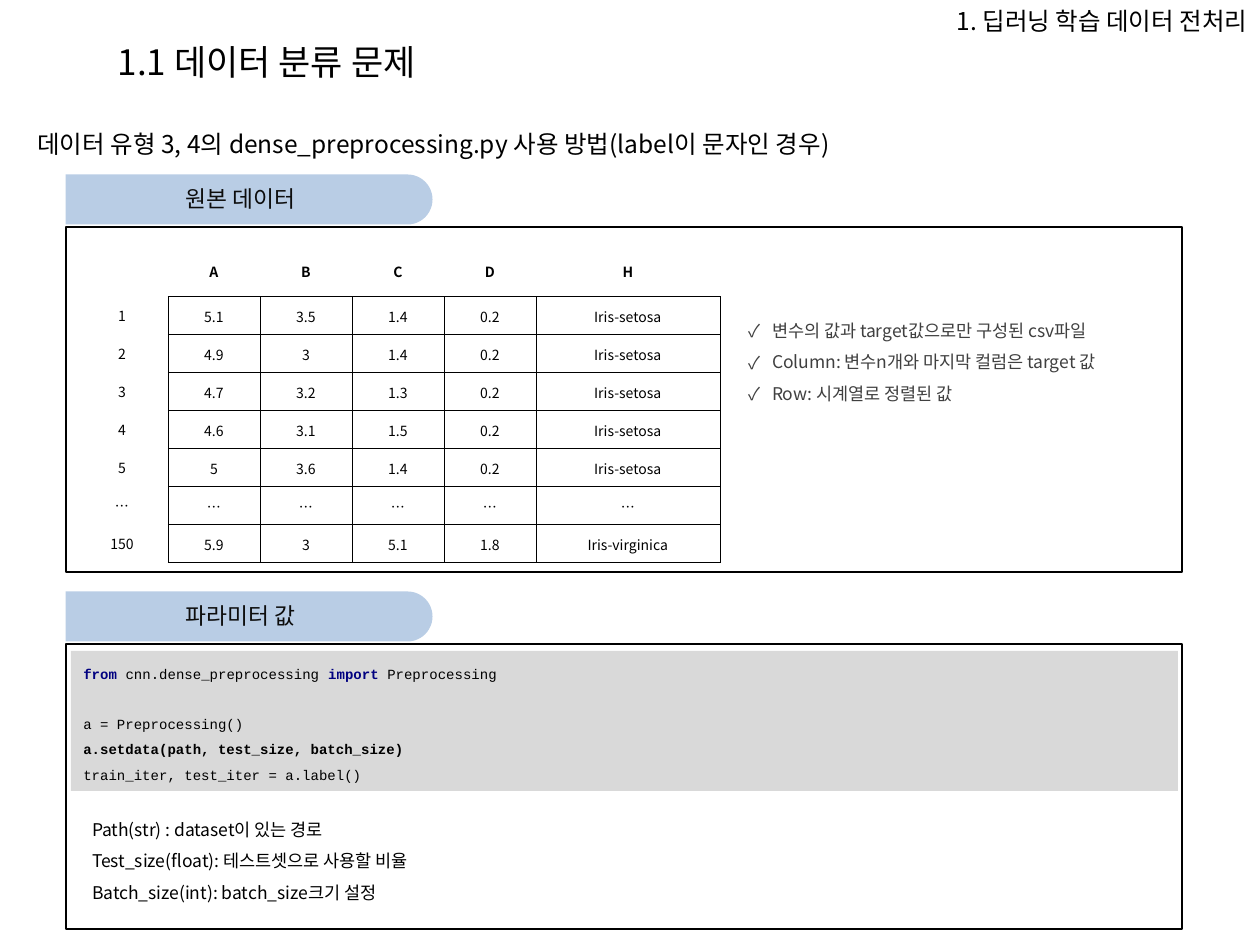
"""Build the slide on preprocessing classification data with text labels."""
from lxml import etree
from pptx import Presentation
from pptx.dml.color import RGBColor
from pptx.enum.shapes import MSO_SHAPE as Shape
from pptx.enum.text import MSO_ANCHOR as Anchor, MSO_AUTO_SIZE as AutoSize, PP_ALIGN as Align
from pptx.oxml import parse_xml
from pptx.oxml.ns import nsdecls, qn
from pptx.util import Pt

PX = 914400 / 126
BLACK = RGBColor(0x00, 0x00, 0x00)
INK = RGBColor(0x0D, 0x0D, 0x0D)
GRAY = RGBColor(0x40, 0x40, 0x40)
NAVY = RGBColor(0x00, 0x00, 0x80)
TAB_BLUE = RGBColor(0xB9, 0xCD, 0xE5)
CODE_GRAY = RGBColor(0xD9, 0xD9, 0xD9)
KOREAN, MONO = "Noto Sans CJK KR", "Courier New"


def px(*lengths):
    return [round(length * PX) for length in lengths]


def style(run, size, color=BLACK, bold=False, face=KOREAN):
    run.font.size, run.font.bold, run.font.name = Pt(size), bold, face
    run.font.color.rgb = color
    etree.SubElement(run.font._element, qn("a:ea")).set("typeface", face)


deck = Presentation()
deck.slide_width, deck.slide_height = px(1260, 945)
slide = deck.slides.add_slide(deck.slide_layouts[1])
shapes = slide.shapes

heading = shapes.title
heading.left, heading.top, heading.width, heading.height = px(105, 26, 942, 72)
heading.text_frame.text = "1.1 데이터 분류 문제"
heading.text_frame.vertical_anchor = Anchor.MIDDLE
heading.text_frame.auto_size = AutoSize.NONE
heading.text_frame.paragraphs[0].alignment = Align.LEFT
style(heading.text_frame.paragraphs[0].runs[0], 20)

for wording, box, align in (
    ("데이터 유형 3, 4의 dense_preprocessing.py 사용 방법(label이 문자인 경우)", (25, 123, 1211, 43), Align.LEFT),
    ("1. 딥러닝 학습 데이터 전처리", (801, 0, 459, 43), Align.RIGHT),
):
    caption = shapes.add_textbox(*px(*box)).text_frame
    caption.word_wrap = True
    caption.text = wording
    caption.paragraphs[0].alignment = align
    style(caption.paragraphs[0].runs[0], 14)

for section, offset, panel_height in (("원본 데이터", 0, 345), ("파라미터 값", 417, 285)):
    panel = shapes.add_shape(Shape.RECTANGLE, *px(66, 227 + offset, 1116, panel_height))
    panel.shadow.inherit = False
    panel.fill.background()
    panel.line.color.rgb = BLACK
    panel.line.width = Pt(1)

    header = shapes.add_group_shape().shapes
    tab = header.add_shape(Shape.ROUND_2_SAME_RECTANGLE, *px(224, 16 + offset, 50, 367))
    tab.rotation = 90
    tab.adjustments[0], tab.adjustments[1] = 0.5, 0
    label = header.add_shape(Shape.RECTANGLE, *px(68, 175 + offset, 345, 47))
    for part in (tab, label):
        part.shadow.inherit = False
        part.fill.solid()
        part.fill.fore_color.rgb = TAB_BLUE
        part.line.fill.background()
    frame = label.text_frame
    frame.margin_left = frame.margin_right = frame.margin_top = frame.margin_bottom = 0
    frame.vertical_anchor = Anchor.MIDDLE
    frame.text = section
    frame.paragraphs[0].alignment = Align.CENTER
    style(frame.paragraphs[0].runs[0], 13, INK)

checklist = slide.placeholders[1]
checklist.left, checklist.top, checklist.width, checklist.height = px(748, 309, 395, 96)
parameters = shapes.add_textbox(*px(92, 808, 1062, 92))
for holder, color, bullet, lines in (
    (checklist, GRAY, "✓", (
        "변수의 값과 target값으로만 구성된 csv파일",
        "Column: 변수n개와 마지막 컬럼은 target 값",
        "Row: 시계열로 정렬된 값",
    )),
    (parameters, BLACK, None, (
        "Path(str) : dataset이 있는 경로",
        "Test_size(float): 테스트셋으로 사용할 비율",
        "Batch_size(int): batch_size크기 설정",
    )),
):
    frame = holder.text_frame
    frame.word_wrap = True
    frame.auto_size = AutoSize.NONE
    frame.margin_left = frame.margin_right = frame.margin_top = frame.margin_bottom = 0
    frame.text = "\n".join(lines)
    for item in frame.paragraphs:
        item.line_spacing = 1.5
        item.space_before = Pt(0)
        style(item.runs[0], 10, color)
        if bullet:
            indent = px(24)[0]
            props = item._p.get_or_add_pPr()
            props.set("marL", str(indent))
            props.set("indent", str(-indent))
            etree.SubElement(props, qn("a:buFont")).set("typeface", "Wingdings")
            props[-1].set("typeface", KOREAN)
            etree.SubElement(props, qn("a:buChar")).set("char", bullet)

SETOSA = "Iris-setosa"
iris_rows = (
    ("", "A", "B", "C", "D", "H"),
    ("1", "5.1", "3.5", "1.4", "0.2", SETOSA),
    ("2", "4.9", "3", "1.4", "0.2", SETOSA),
    ("3", "4.7", "3.2", "1.3", "0.2", SETOSA),
    ("4", "4.6", "3.1", "1.5", "0.2", SETOSA),
    ("5", "5", "3.6", "1.4", "0.2", SETOSA),
    ("…",) * 6,
    ("150", "5.9", "3", "5.1", "1.8", "Iris-virginica"),
)
iris = shapes.add_table(8, 6, *px(76, 246, 644, 304)).table
iris.first_row = iris.horz_banding = False
iris._tbl.tblPr[0].text = "{2D5ABB26-0587-4C30-8999-92F81FD0307C}"
for column, width in zip(iris.columns, px(92, 92, 92, 92, 92, 184)):
    column.width = width
for r, values in enumerate(iris_rows):
    iris.rows[r].height = px(38)[0]
    for c, value in enumerate(values):
        cell = iris.cell(r, c)
        cell.vertical_anchor = Anchor.MIDDLE
        cell.fill.background()
        if r and c:
            cell.margin_left = cell.margin_right = cell.margin_top = px(1)[0]
            cell.margin_bottom = 0
        sides = "LRTB" if r and c else "B" if c else "R" if r else ""
        for position, side in enumerate(sides):
            cell._tc.tcPr.insert(position, parse_xml(
                f'<a:ln{side} {nsdecls("a")} w="{Pt(0.25)}"><a:solidFill>'
                f'<a:srgbClr val="{BLACK}"/></a:solidFill></a:ln{side}>'))
        cell.text_frame.text = value
        entry = cell.text_frame.paragraphs[0]
        entry.alignment = Align.CENTER
        for run in entry.runs:
            style(run, 8, bold=r == 0)

code = shapes.add_shape(Shape.RECTANGLE, *px(71, 651, 1107, 140))
code.shadow.inherit = False
code.fill.solid()
code.fill.fore_color.rgb = CODE_GRAY
code.line.fill.background()
code.text_frame.vertical_anchor = Anchor.TOP
listing = code.text_frame.paragraphs[0]
listing.alignment = Align.LEFT
listing.line_spacing = 1.5
for snippet, color, bold, breaks in (
    ("from ", NAVY, True, 0),
    ("cnn.dense_preprocessing ", BLACK, False, 0),
    ("import ", NAVY, True, 0),
    ("Preprocessing", BLACK, False, 2),
    ("a = Preprocessing()", BLACK, False, 1),
    ("a.setdata(path, test_size, batch_size)", BLACK, True, 1),
    ("train_iter, test_iter = a.label()", BLACK, False, 0),
):
    run = listing.add_run()
    run.text = snippet
    style(run, 8, color, bold, MONO)
    for _ in range(breaks):
        listing.add_line_break()
        listing._p[-1].append(parse_xml(f'<a:rPr {nsdecls("a")} sz="800"><a:latin typeface="{MONO}"/></a:rPr>'))

deck.save("out.pptx")
